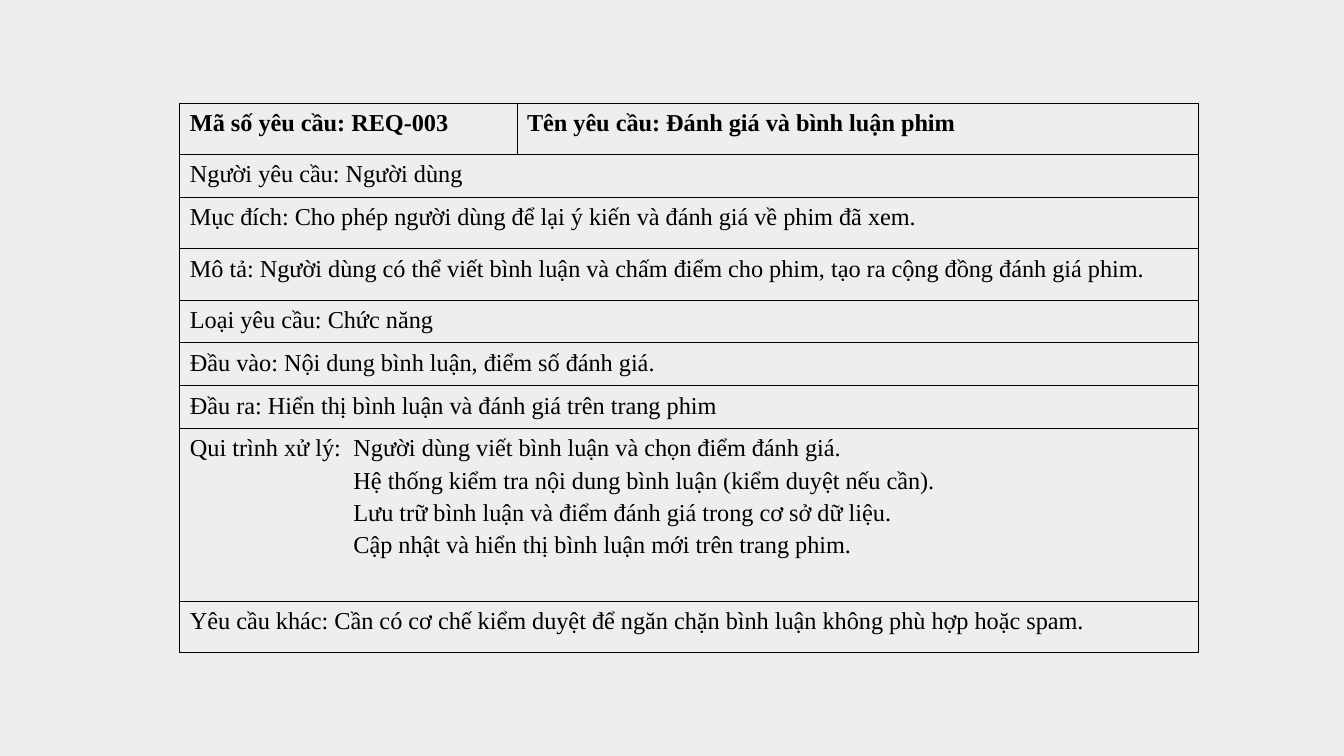
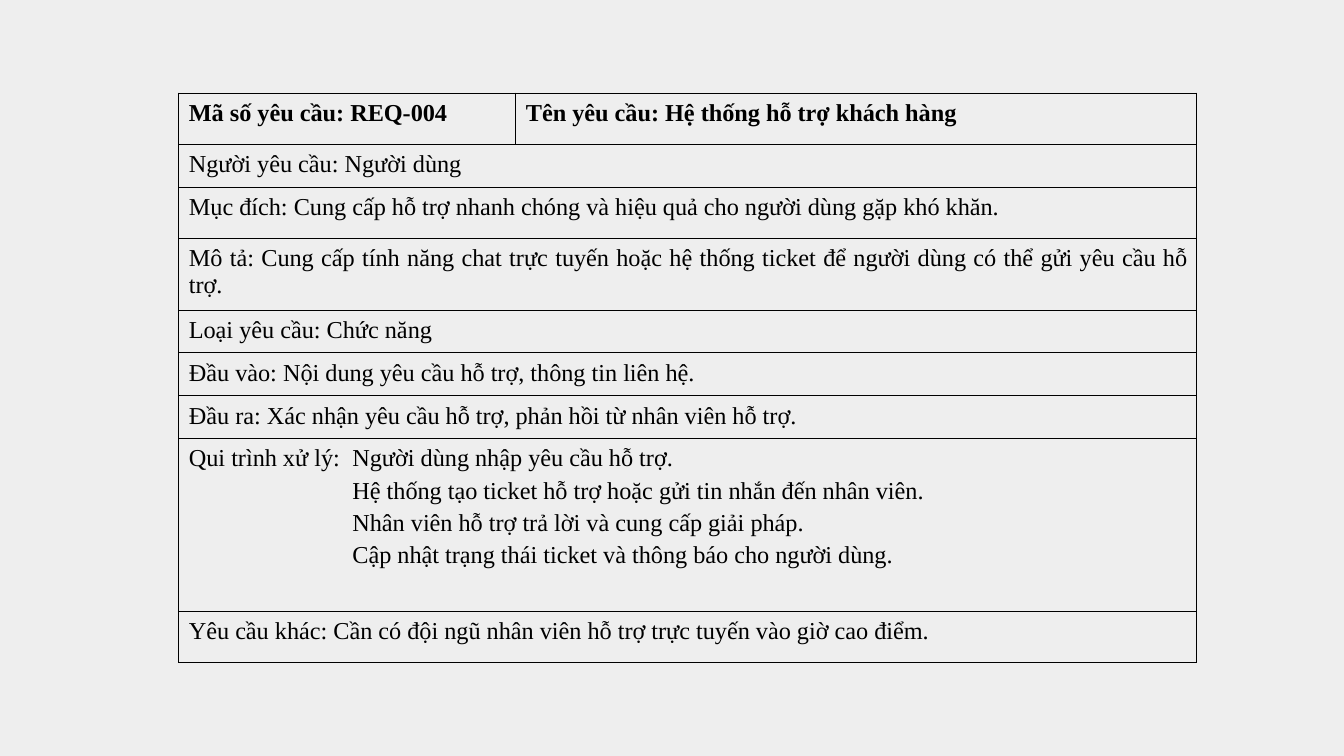
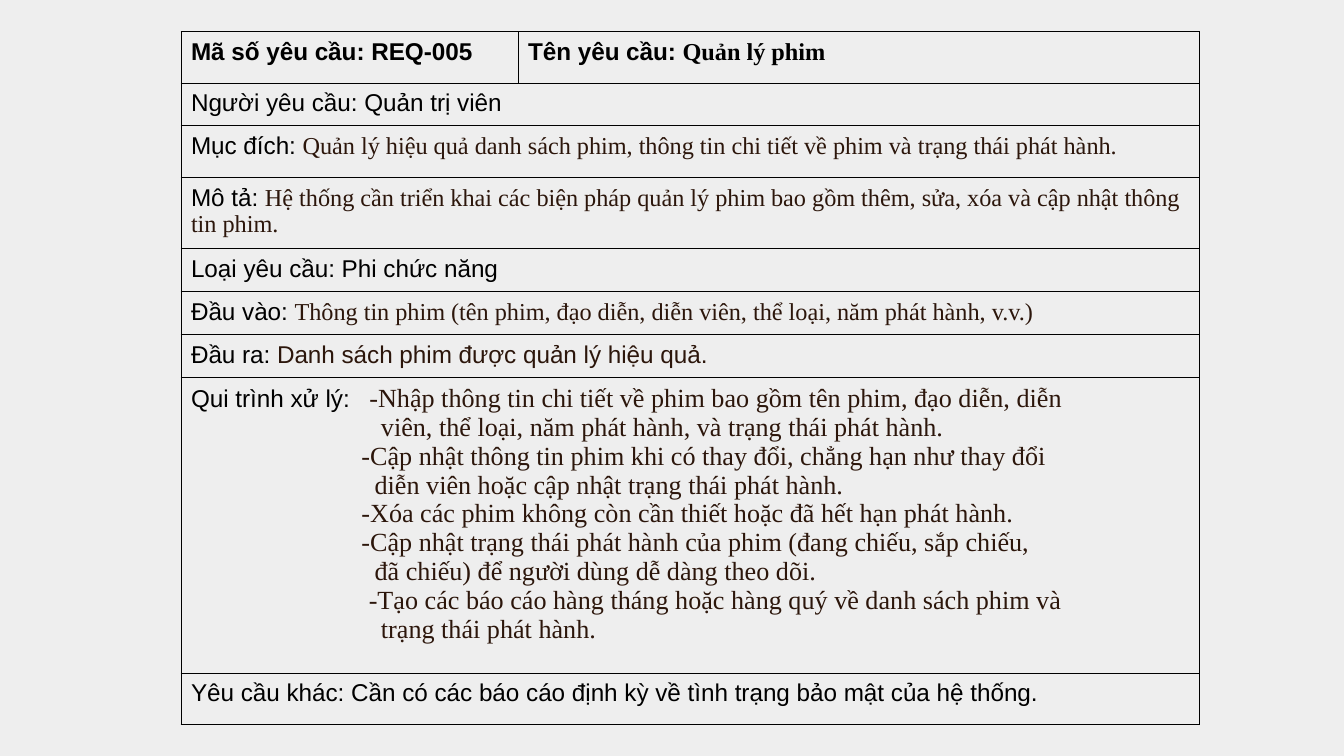
from dataclasses import dataclass

from lxml import etree
from pptx import Presentation
from pptx.dml.color import RGBColor
from pptx.enum.text import PP_ALIGN
from pptx.oxml.ns import qn
from pptx.util import Cm, Pt

LEFT, JUSTIFY = PP_ALIGN.LEFT, PP_ALIGN.JUSTIFY

# Shared look
BACKGROUND, BLACK, BROWN = "EEEEEE", "000000", "2C160B"
BORDER_PT = 0.5
COL_WIDTHS = (6.37, 12.87)
SINGLE, HEADER = 0.81, 0.97

CODE_LABEL = "Mã số yêu cầu: "
NAME_LABEL = "Tên yêu cầu: "
FIELD_LABELS = ("Người yêu cầu: ", "Mục đích: ", "Mô tả: ", "Loại yêu cầu: ",
                "Đầu vào: ", "Đầu ra: ")
STEPS_LABEL = "Qui trình xử lý:"
OTHER_LABEL = "Yêu cầu khác: "


@dataclass(frozen=True)
class Face:
    font: str
    color: str = BLACK
    size: float = 13
    bold: bool = False


SERIF = Face("Times New Roman")
SERIF_BOLD = Face("Times New Roman", bold=True)
SANS = Face("Arial")
SANS_BOLD = Face("Arial", bold=True)
SERIF_BROWN = Face("Times New Roman", BROWN)
SANS_BROWN = Face("Arial", BROWN)
STEP_BROWN = Face("Times New Roman", BROWN, 14)


@dataclass(frozen=True)
class Step:
    text: str
    indent: float = 3.09


@dataclass(frozen=True)
class Requirement:
    left: float
    top: float
    code: str
    name: str
    fields: tuple[str, ...]
    steps: tuple[Step, ...]
    other: str
    label_face: Face = SERIF
    header_face: Face = SERIF_BOLD
    field_faces: tuple[Face, ...] = (SERIF,) * 6
    step_face: Face = SERIF
    step_gap: float = 3
    description_height: float = HEADER
    steps_height: float = 3.27

    def row_heights(self) -> list[float]:
        return [HEADER, SINGLE, HEADER, self.description_height,
                SINGLE, SINGLE, SINGLE, self.steps_height, HEADER]


REQUIREMENTS = (
    Requirement(
        3.4, 1.95, "REQ-003", "Đánh giá và bình luận phim",
        ("Người dùng",
         "Cho phép người dùng để lại ý kiến và đánh giá về phim đã xem.",
         "Người dùng có thể viết bình luận và chấm điểm cho phim, "
         "tạo ra cộng đồng đánh giá phim.",
         "Chức năng",
         "Nội dung bình luận, điểm số đánh giá.",
         "Hiển thị bình luận và đánh giá trên trang phim"),
        (Step("Người dùng viết bình luận và chọn điểm đánh giá."),
         Step("Hệ thống kiểm tra nội dung bình luận (kiểm duyệt nếu cần)."),
         Step("Lưu trữ bình luận và điểm đánh giá trong cơ sở dữ liệu."),
         Step("Cập nhật và hiển thị bình luận mới trên trang phim.")),
        "Cần có cơ chế kiểm duyệt để ngăn chặn bình luận không phù hợp hoặc spam.",
    ),
    Requirement(
        3.38, 1.76, "REQ-004", "Hệ thống hỗ trợ khách hàng",
        ("Người dùng",
         "Cung cấp hỗ trợ nhanh chóng và hiệu quả cho người dùng gặp khó khăn.",
         "Cung cấp tính năng chat trực tuyến hoặc hệ thống ticket "
         "để người dùng có thể gửi yêu cầu hỗ trợ.",
         "Chức năng",
         "Nội dung yêu cầu hỗ trợ, thông tin liên hệ.",
         "Xác nhận yêu cầu hỗ trợ, phản hồi từ nhân viên hỗ trợ."),
        (Step("Người dùng nhập yêu cầu hỗ trợ."),
         Step("Hệ thống tạo ticket hỗ trợ hoặc gửi tin nhắn đến nhân viên."),
         Step("Nhân viên hỗ trợ trả lời và cung cấp giải pháp."),
         Step("Cập nhật trạng thái ticket và thông báo cho người dùng.")),
        "Cần có đội ngũ nhân viên hỗ trợ trực tuyến vào giờ cao điểm.",
        description_height=1.35,
    ),
    Requirement(
        3.42, 0.6, "REQ-005", "Quản lý phim",
        ("Quản trị viên",
         "Quản lý hiệu quả danh sách phim, thông tin chi tiết về phim "
         "và trạng thái phát hành.",
         "Hệ thống cần triển khai các biện pháp quản lý phim bao gồm thêm, sửa, "
         "xóa và cập nhật thông tin phim.",
         "Phi chức năng",
         "Thông tin phim (tên phim, đạo diễn, diễn viên, thể loại, "
         "năm phát hành, v.v.)",
         "Danh sách phim được quản lý hiệu quả."),
        (Step("-Nhập thông tin chi tiết về phim bao gồm tên phim, đạo diễn, diễn", 3.37),
         Step("viên, thể loại, năm phát hành, và trạng thái phát hành.", 3.59),
         Step("-Cập nhật thông tin phim khi có thay đổi, chẳng hạn như thay đổi", 3.22),
         Step("diễn viên hoặc cập nhật trạng thái phát hành.", 3.47),
         Step("-Xóa các phim không còn cần thiết hoặc đã hết hạn phát hành.", 3.22),
         Step("-Cập nhật trạng thái phát hành của phim (đang chiếu, sắp chiếu,", 3.22),
         Step("đã chiếu) để người dùng dễ dàng theo dõi.", 3.47),
         Step("-Tạo các báo cáo hàng tháng hoặc hàng quý về danh sách phim và", 3.36),
         Step("trạng thái phát hành.", 3.59)),
        "Cần có các báo cáo định kỳ về tình trạng bảo mật của hệ thống.",
        label_face=SANS, header_face=SANS_BOLD,
        field_faces=(SANS, SERIF_BROWN, SERIF_BROWN, SANS, SERIF_BROWN, SANS_BROWN),
        step_face=STEP_BROWN, step_gap=0,
        description_height=1.35, steps_height=5.59,
    ),
)


def rgb(color: str) -> RGBColor:
    return RGBColor.from_string(color)


def add_run(p, text: str, face: Face) -> None:
    r = p.add_run()
    r.text = text
    r.font.name = face.font
    r.font.size = Pt(face.size)
    r.font.bold = face.bold
    r.font.color.rgb = rgb(face.color)


def add_pair(p, label: str, label_face: Face, value: str, value_face: Face) -> None:
    """Write a label and its value, as one run when they look alike."""
    if label_face == value_face:
        add_run(p, label + value, label_face)
    else:
        add_run(p, label, label_face)
        add_run(p, value, value_face)


def alignment(face: Face) -> PP_ALIGN:
    return LEFT if face in (SERIF_BROWN, STEP_BROWN) else JUSTIFY


def format_cell(cell) -> None:
    """Set the insets, thin borders and no fill."""
    cell.margin_left = cell.margin_right = Cm(0.19)
    cell.margin_top = cell.margin_bottom = Cm(0.13)
    tc_pr = cell._tc.get_or_add_tcPr()
    for side in "RTB" if cell.is_spanned else "LRTB":
        ln = etree.SubElement(tc_pr, qn(f"a:ln{side}"), w=str(Pt(BORDER_PT)))
        fill = etree.SubElement(ln, qn("a:solidFill"))
        etree.SubElement(fill, qn("a:srgbClr"), val=BLACK)
    cell.fill.background()


def write_steps(tf, req: Requirement) -> None:
    """Put the first step after the label and indent the others below it."""
    for i, step in enumerate(req.steps):
        p = tf.add_paragraph() if i else tf.paragraphs[0]
        p_pr = p._p.get_or_add_pPr()
        if i:
            p_pr.set("marL", str(Cm(step.indent)))
            p.space_before = Pt(req.step_gap)
            add_run(p, step.text, req.step_face)
        else:
            tabs = etree.SubElement(p_pr, qn("a:tabLst"))
            etree.SubElement(tabs, qn("a:tab"), pos=str(Cm(step.indent)), algn="l")
            add_pair(p, STEPS_LABEL + "\t", req.label_face, step.text, req.step_face)
        p.alignment = alignment(req.step_face)


def add_requirement_table(s, req: Requirement) -> None:
    heights = req.row_heights()
    frame = s.shapes.add_table(len(heights), len(COL_WIDTHS), Cm(req.left), Cm(req.top),
                               Cm(sum(COL_WIDTHS)), Cm(sum(heights)))
    table = frame.table
    table.first_row = table.horz_banding = False
    for column, width in zip(table.columns, COL_WIDTHS):
        column.width = Cm(width)
    for row, height in zip(table.rows, heights):
        row.height = Cm(height)
    for i in range(1, len(heights)):
        table.cell(i, 0).merge(table.cell(i, 1))
    for cell in table.iter_cells():
        format_cell(cell)

    # Header row
    code_p, name_p = (table.cell(0, i).text_frame.paragraphs[0] for i in range(2))
    add_run(code_p, CODE_LABEL + req.code, req.header_face)
    add_pair(name_p, NAME_LABEL, req.header_face, req.name, SERIF_BOLD)

    # Field rows
    rows = zip(FIELD_LABELS, req.fields, req.field_faces)
    for i, (label, value, face) in enumerate(rows, start=1):
        p = table.cell(i, 0).text_frame.paragraphs[0]
        p.alignment = alignment(face)
        add_pair(p, label, req.label_face, value, face)

    # Process steps and other requirements
    write_steps(table.cell(len(heights) - 2, 0).text_frame, req)
    p = table.cell(len(heights) - 1, 0).text_frame.paragraphs[0]
    p.alignment = JUSTIFY
    add_run(p, OTHER_LABEL + req.other, req.label_face)


def main() -> None:
    prs = Presentation()
    prs.slide_width, prs.slide_height = Cm(25.4), Cm(14.29)
    blank = prs.slide_layouts[6]
    for req in REQUIREMENTS:
        s = prs.slides.add_slide(blank)
        s.background.fill.solid()
        s.background.fill.fore_color.rgb = rgb(BACKGROUND)
        add_requirement_table(s, req)
    prs.save("out.pptx")


if __name__ == "__main__":
    main()
